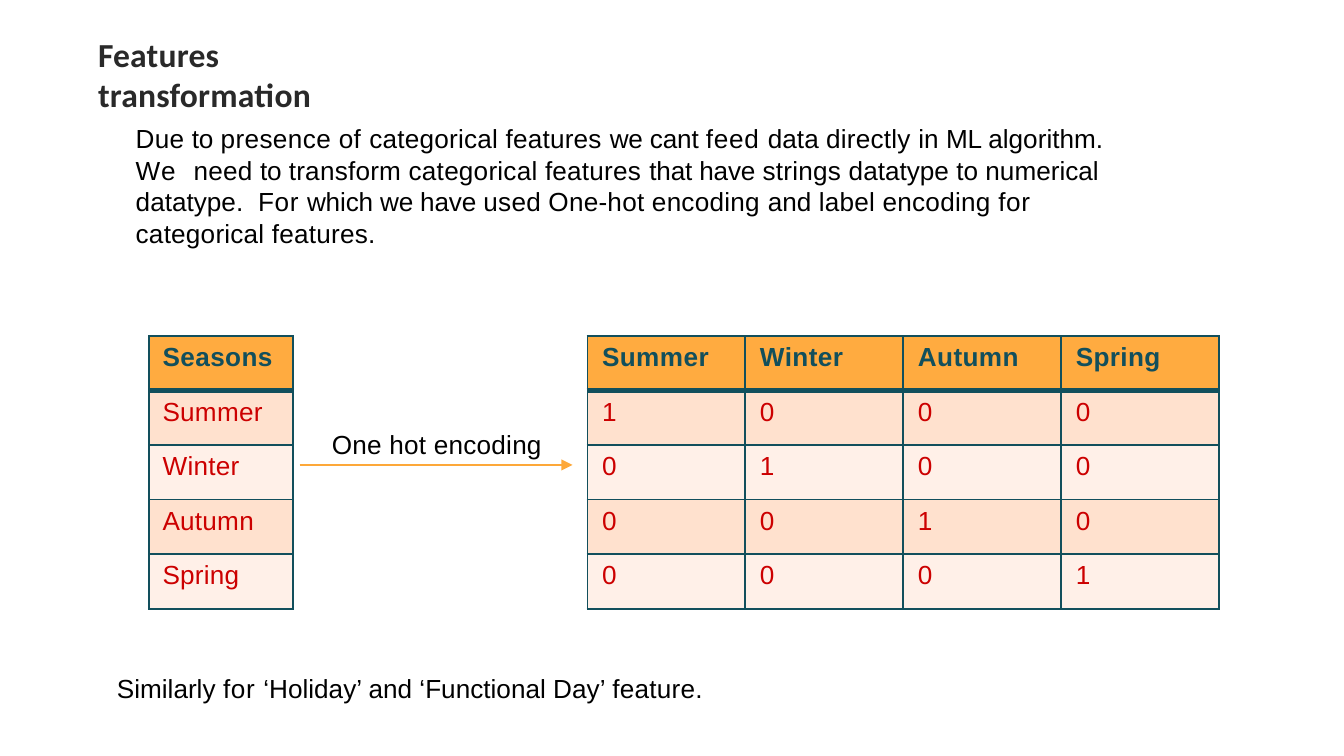
from lxml import etree
from pptx import Presentation
from pptx.dml.color import RGBColor
from pptx.enum import shapes
from pptx.oxml import ns
from pptx.util import Inches, Pt

COLORS = {"title": "292929", "text": "000000", "teal": "124F5C", "red": "CC0000",
          "header": "FFAB40", "odd": "FFE1CE", "even": "FFF0E8", "arrow": "FDA839"}

# Widescreen 16:9 page
deck = Presentation()
deck.slide_width, deck.slide_height = Inches(10), Inches(10 * 9 / 16)
slide = deck.slides.add_slide(deck.slide_layouts[6])


def write(paragraph, runs, size, font, color, bold=False):
    """Add (text, letter spacing in points) runs to a paragraph."""
    for words, spacing in runs:
        run = paragraph.add_run()
        run.text = words
        run.font.size, run.font.name, run.font.bold = Pt(size), font, bold
        run.font.color.rgb = RGBColor.from_string(COLORS[color])
        run.font._element.set("spc", str(round(spacing * 100)))


def border(cell, sides):
    """Draw teal borders; sides maps a side letter to a width in points."""
    props = cell._tc.get_or_add_tcPr()
    for place, (side, width) in enumerate(sides.items()):
        line = etree.Element(ns.qn(f"a:ln{side}"), w=str(Pt(width)))
        fill = etree.SubElement(line, ns.qn("a:solidFill"))
        etree.SubElement(fill, ns.qn("a:srgbClr"), val=COLORS["teal"])
        props.insert(place, line)


# Title, explanation, arrow label and closing note
title = [("Features ", 0.1), ("transformat", 0.1), ("ion", 0.1)]
explanation = [
    ("Due ", 0.1), ("to ", -0.1), ("presence of ", 0.2), ("categorical features ", 0.1),
    ("we cant ", -0.1), ("feed ", 0.4), ("data ", 0), ("directly ", 0.1), ("in ", 0),
    ("ML ", -0.1), ("algorithm. ", 0), ("We  ", 0.6), ("need ", 0.1), ("to ", -0.1),
    ("transform categorical features ", 0.1), ("that have ", -0.1), ("strings ", 0.1),
    ("datatype to ", 0), ("numerical datatype.  ", 0), ("For ", 0.3),
    ("which we ", -0.1), ("have ", -0.1), ("used One-hot encoding ", 0.1), ("and ", 0),
    ("label encoding ", 0.1), ("for ", 0.3), ("categorical features.", 0.1)]
arrow_label = [("One hot encoding", 0.1)]
note = [("Similarly ", 0), ("for ", 0.3), ("‘Holiday’ ", 0), ("and ", 0),
        ("‘Functional Day’ ", 0), ("feature.", 0.1)]

for runs, place, inset, line_spacing, style in [
        (title, (0.72, 0.24, 2.5, 0.33), 0.01, 1.0, (18, "Calibri", "title", True)),
        (explanation, (1, 0.89, 7.52, 0.74), 0.02, 1.01, (14, "Arial", "text")),
        (arrow_label, (2.46, 3.17, 1.6, 0.27), 0.02, 1.0, (14, "Arial", "text")),
        (note, (0.86, 4.98, 4.4, 0.27), 0.02, 1.0, (14, "Arial", "text"))]:
    frame = slide.shapes.add_textbox(*map(Inches, place)).text_frame
    frame.word_wrap = True
    frame.margin_left = Inches(0.01)
    frame.margin_right = frame.margin_bottom = 0
    frame.margin_top = Inches(inset)
    paragraph = frame.paragraphs[0]
    paragraph.space_before = Pt(1.1)
    paragraph.line_spacing = line_spacing
    write(paragraph, runs, *style)

# Seasons before and after encoding
seasons = ["Summer", "Winter", "Autumn", "Spring"]
before = [["Seasons"]] + [[season] for season in seasons]
after = [seasons] + [[str(int(row == col)) for col in range(4)] for row in range(4)]
tables_height = 2.03

for rows, left, width in [(before, 1.11, 1.07), (after, 4.37, 4.7)]:
    table = slide.shapes.add_table(
        len(rows), len(rows[0]), Inches(left), Inches(2.5),
        Inches(width), Inches(tables_height)).table
    table.first_row = table.horz_banding = False
    for r, values in enumerate(rows):
        for c, value in enumerate(values):
            cell = table.cell(r, c)
            cell.margin_left = Inches(0.11 if len(values) > 1 else 0.1)
            cell.margin_right = cell.margin_bottom = 0
            cell.margin_top = Inches(0.05)
            band = "header" if r == 0 else "odd" if r % 2 else "even"
            cell.fill.solid()
            cell.fill.fore_color.rgb = RGBColor.from_string(COLORS[band])
            border(cell, {"L": 1, "R": 1, "T": 3 if r == 1 else 1, "B": 3 if r == 0 else 1})
            paragraph = cell.text_frame.paragraphs[0]
            paragraph.space_before = Pt(3.5)
            write(paragraph, [(value, 0.2 if r == 0 else 0.1)], 14, "Arial",
                  "teal" if r == 0 else "red", r == 0)

# Encoding arrow
arrow = slide.shapes.add_connector(shapes.MSO_CONNECTOR.STRAIGHT, Inches(2.23),
                                   Inches(3.46), Inches(4.26), Inches(3.46))
arrow.line.width = Pt(0.75)
arrow.line.color.rgb = RGBColor.from_string(COLORS["arrow"])
etree.SubElement(arrow.line._get_or_add_ln(), ns.qn("a:tailEnd"),
                 type="triangle", w="med", len="med")
etree.SubElement(arrow._element.spPr, ns.qn("a:effectLst"))

deck.save("out.pptx")
